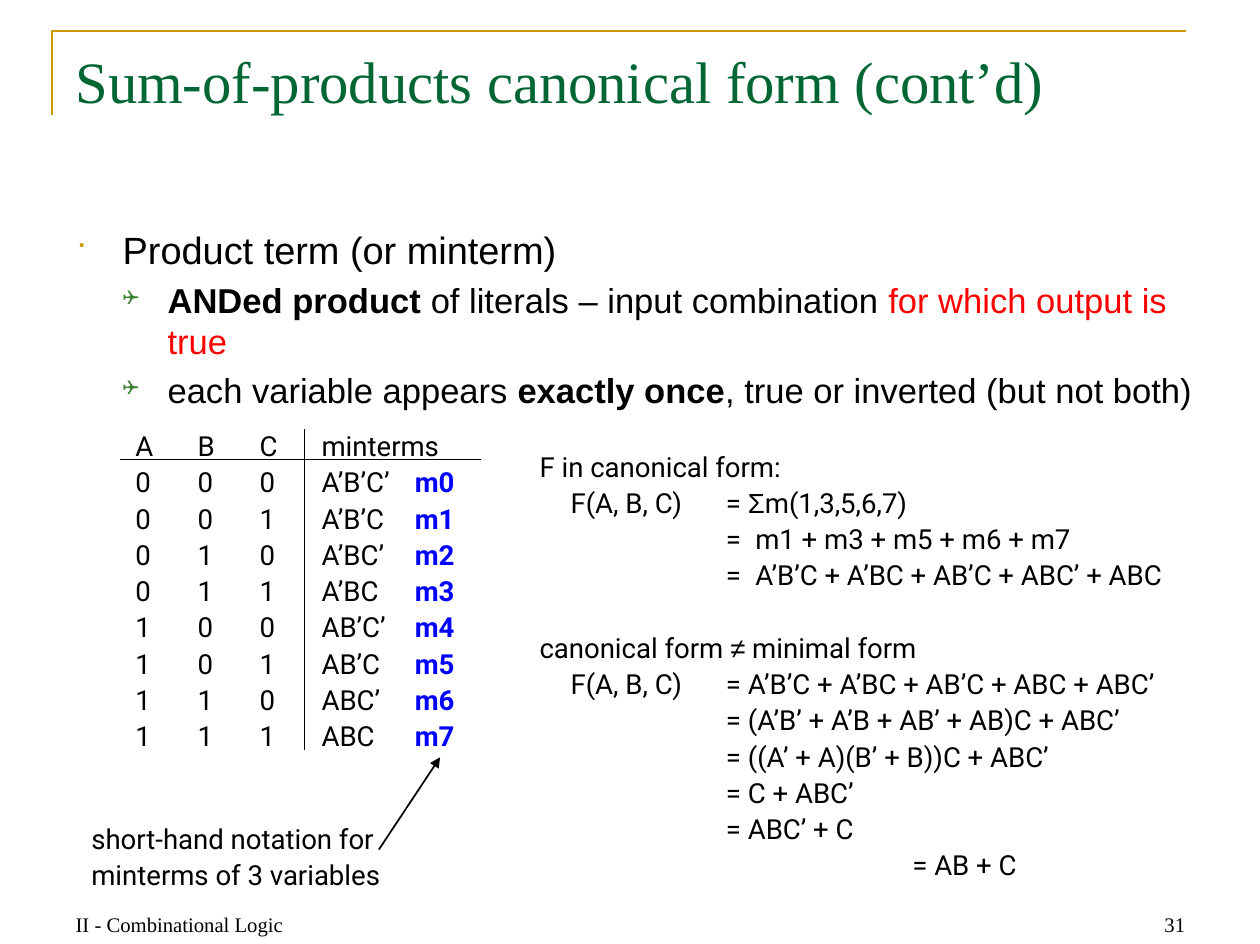
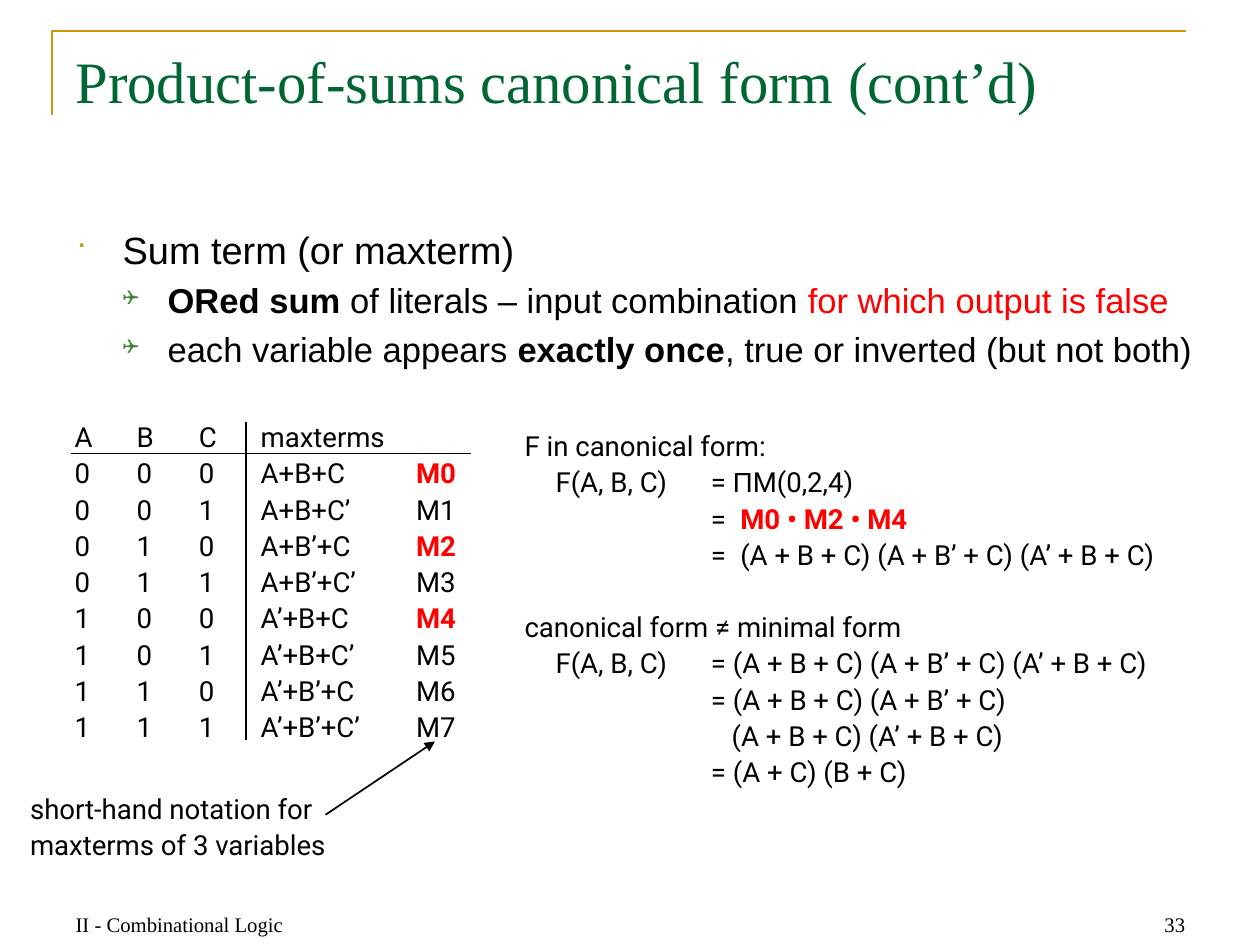
from itertools import product

from lxml import etree
from pptx import Presentation
from pptx.dml.color import RGBColor
from pptx.enum.shapes import MSO_CONNECTOR
from pptx.enum.text import MSO_ANCHOR, PP_ALIGN
from pptx.oxml.ns import qn
from pptx.util import Pt

LEFT, RIGHT = PP_ALIGN.LEFT, PP_ALIGN.RIGHT
TOP, BOTTOM = MSO_ANCHOR.TOP, MSO_ANCHOR.BOTTOM
STRAIGHT = MSO_CONNECTOR.STRAIGHT

BLACK = RGBColor(0x00, 0x00, 0x00)
GREEN = RGBColor(0x00, 0x66, 0x33)
GOLD = RGBColor(0xCC, 0x99, 0x00)
LEAF = RGBColor(0x3B, 0x81, 0x2F)
RED = RGBColor(0xFF, 0x00, 0x00)
BLUE = RGBColor(0x00, 0x00, 0xFF)

SERIF, SANS, ROBOTO = "Times New Roman", "Arial", "Roboto"
MARKS = "Wingdings"
WIDTH, HEIGHT = 730, 547.2
PITCH = 21
INSET = (1.44, 2.16)
NARROW = {"font": ROBOTO, "size": 16, "pitch": PITCH, "inset": INSET}

# Tab stops of the formula rows
STOPS = (18, 108)
WIDE = (18, 108, 125)
SHIFT = (18, 120)
FAR = (18, 216)

# Indent, hang, bullet, bullet colour, bullet percent, text size
LEVELS = (
    (27, 27, "■", GOLD, 65, 22),
    (53, 26, "❑", LEAF, 60, 20),
)
BOLD = {"bold": True}
HOT = {"color": RED}
GREEK = {"font": SANS}


def sub(parent, tag, **attrs):
    return etree.SubElement(parent, qn(tag), {k: str(v) for k, v in attrs.items()})


def write(para, runs, font=SANS, size=16, color=BLACK, bold=False,
          align=LEFT, pitch=None, before=0):
    """Fill a paragraph with strings or (string, changed format) pairs."""
    para.alignment = align
    para.space_before = Pt(before)
    if pitch:
        para.line_spacing = Pt(pitch)
    for item in [runs] if isinstance(runs, str) else runs:
        words, change = (item, {}) if isinstance(item, str) else item
        look = {"font": font, "size": size, "color": color, "bold": bold, **change}
        run = para.add_run()
        run.text = words
        run.font.name = look["font"]
        run.font.size = Pt(look["size"])
        run.font.bold = look["bold"]
        run.font.color.rgb = look["color"]


def frame(slide, box, inset=(7.2, 3.6), anchor=TOP):
    body = slide.shapes.add_textbox(*map(Pt, box)).text_frame
    body.word_wrap = True
    body.vertical_anchor = anchor
    body.margin_left = body.margin_right = Pt(inset[0])
    body.margin_top = body.margin_bottom = Pt(inset[1])
    return body


def paras(body, count):
    """Yield the first paragraph of a text frame, then new ones."""
    yield body.paragraphs[0]
    for _ in range(count - 1):
        yield body.add_paragraph()


def text(slide, box, lines, inset=(7.2, 3.6), anchor=TOP, **look):
    body = frame(slide, box, inset, anchor)
    for para, runs in zip(paras(body, len(lines)), lines):
        write(para, runs, **look)


def base(deck, title, page):
    """Add a slide with the corner rule, title and footers."""
    slide = deck.slides.add_slide(deck.slide_layouts[6])
    pen = slide.shapes.build_freeform(Pt(30.2), Pt(66.8), scale=1.0)
    pen.add_line_segments([(Pt(30.2), Pt(18)), (Pt(687.2), Pt(18))], close=False)
    rule = pen.convert_to_shape()
    rule.shadow.inherit = False
    rule.fill.background()
    rule.line.color.rgb = GOLD
    rule.line.width = Pt(1.5)
    text(slide, (36.7, 22.5, 657, 90), [title], font=SERIF, size=34, color=GREEN)
    for x, words, align in ((36.7, "II - Combinational Logic", LEFT),
                            (523.2, page, RIGHT)):
        text(slide, (x, 510.2, 170.5, 36.5), [words], anchor=BOTTOM,
             font=SERIF, size=12, align=align)
    return slide


def bullets(slide, rows):
    """Write rows of (level, runs)."""
    body = frame(slide, (37, 127.5, 677, 135))
    for n, (para, (level, runs)) in enumerate(zip(paras(body, len(rows)), rows)):
        left, hang, mark, color, percent, size = LEVELS[level]
        write(para, runs, size=size, before=4.2 if n else 0)
        props = para._p.get_or_add_pPr()
        props.set("marL", str(Pt(left)))
        props.set("indent", str(-Pt(hang)))
        sub(sub(props, "a:buClr"), "a:srgbClr", val=color)
        sub(props, "a:buSzPct", val=percent * 1000)
        sub(props, "a:buFont", typeface=MARKS)
        sub(props, "a:buChar", char=mark)


def sums(slide, box, rows):
    """Write formula rows of (tab stops, runs, space before)."""
    body = frame(slide, box, INSET)
    for para, (stops, runs, gap) in zip(paras(body, len(rows)), rows):
        write(para, runs, font=ROBOTO, pitch=PITCH, before=gap)
        tabs = sub(para._p.get_or_add_pPr(), "a:tabLst")
        for stop in stops:
            sub(tabs, "a:tab", pos=Pt(stop), algn="l")


def clear(cell):
    """Take the borders and fill off a cell."""
    props = cell._tc.get_or_add_tcPr()
    for side in "LRTB":
        sub(sub(props, f"a:ln{side}"), "a:noFill")
    cell.fill.background()


def truth(slide, at, widths, pads, rows):
    """Draw a truth table; pads are the left margins before and after the rule."""
    shape = slide.shapes.add_table(len(rows), len(widths), Pt(at[0]), Pt(at[1]),
                                   Pt(sum(widths)), Pt(PITCH * len(rows)))
    table = shape.table
    table.first_row = table.horz_banding = False
    for col, width in zip(table.columns, widths):
        col.width = Pt(width)
    for r, row in enumerate(rows):
        table.rows[r].height = Pt(PITCH)
        for c, runs in enumerate(row):
            cell = table.cell(r, c)
            cell.margin_left = Pt(pads[c > 2])
            cell.margin_right = cell.margin_top = cell.margin_bottom = 0
            write(cell.text_frame.paragraphs[0], runs, font=ROBOTO, pitch=PITCH)
            clear(cell)
    table.cell(0, 3).merge(table.cell(0, 4))


def terms(head, sign, join, prime, hot, color):
    """List the table rows; a letter is primed where its bit equals prime."""
    rows = [["A", "B", "C", head, []]]
    for n, bits in enumerate(product((0, 1), repeat=3)):
        term = join.join(v + "’" * (b == prime) for v, b in zip("ABC", bits))
        look = {"color": color, "bold": True} if n in hot else {}
        rows.append([*map(str, bits), term, [(f"{sign}{n}", look)]])
    return rows


def rule(slide, start, end, head=False):
    """Draw a thin black line, with an arrowhead at its end if asked."""
    line = slide.shapes.add_connector(STRAIGHT, *map(Pt, start + end))
    line.line.color.rgb = BLACK
    line.line.width = Pt(1)
    if head:
        sub(line.line._get_or_add_ln(), "a:tailEnd", type="triangle")
    sub(line._element.spPr, "a:effectLst")


def note(slide, at, kind):
    text(slide, (*at, 207, 52),
         ["short-hand notation for", f"{kind} of 3 variables"], **NARROW)


def once():
    return (1, ["each variable appears ", ("exactly once", BOLD),
                ", true or inverted (but not both)"])


def minterm(deck):
    slide = base(deck, "Sum-of-products canonical form (cont’d)", "31")
    bullets(slide, [
        (0, "Product term (or minterm)"),
        (1, [("ANDed product", BOLD), " of literals – input combination ",
             ("for which output is true", HOT)]),
        once(),
    ])
    truth(slide, (70, 247.4), (36, 36, 34.4, 54, 48.2), (8.5, 10),
          terms("minterms", "m", "", 0, range(8), BLUE))
    rule(slide, (69.8, 266.4), (278.6, 266.4))
    rule(slide, (176.4, 248.4), (176.4, 434.9))
    note(slide, (51.5, 472.5), "minterms")
    rule(slide, (219.5, 492.5), (255, 439), head=True)
    sums(slide, (311.2, 256.7, 393, 262), [
        (STOPS, "F in canonical form:", 0),
        (STOPS, ["\tF(A, B, C)\t= ", ("Σ", GREEK), "m(1,3,5,6,7)"], 0),
        (WIDE, "\t\t=\tm1 + m3 + m5 + m6 + m7", 0),
        (WIDE, "\t\t=\tA’B’C + A’BC + AB’C + ABC’ + ABC", 0),
        (STOPS, ["canonical form ", ("≠", GREEK), " minimal form"], PITCH),
        (STOPS, "\tF(A, B, C)\t= A’B’C + A’BC + AB’C + ABC + ABC’", 0),
        (STOPS, "\t\t= (A’B’ + A’B + AB’ + AB)C + ABC’", 0),
        (STOPS, "\t\t= ((A’ + A)(B’ + B))C + ABC’", 0),
        (STOPS, "\t\t= C + ABC’", 0),
        (STOPS, "\t\t= ABC’ + C", 0),
        (FAR, "\t\t= AB + C", 0),
    ])


def maxterm(deck):
    slide = base(deck, "Product-of-sums canonical form (cont’d)", "33")
    bullets(slide, [
        (0, "Sum term (or maxterm)"),
        (1, [("ORed sum", BOLD), " of literals – input combination ",
             ("for which output is false", HOT)]),
        once(),
    ])
    truth(slide, (41, 242.2), (36, 36, 29.6, 90, 40.4), (2.2, 8.5),
          terms("maxterms", "M", "+", 1, (0, 2, 4), RED))
    rule(slide, (41, 262.8), (272.9, 262.8))
    rule(slide, (142.6, 244.8), (142.6, 429.1))
    note(slide, (16, 455), "maxterms")
    rule(slide, (188.6, 472.3), (252, 429.8), head=True)
    sums(slide, (302.5, 244.7, 405, 220), [
        (STOPS, "F in canonical form:", 0),
        (STOPS, ["\tF(A, B, C)\t= ", ("Π", GREEK), "M(0,2,4)"], 0),
        (WIDE, ["\t\t=\t", ("M0 • M2 • M4", {**BOLD, **HOT})], 0),
        (WIDE, "\t\t=\t(A + B + C) (A + B’ + C) (A’ + B + C)", 0),
        (STOPS, "canonical form ≠ minimal form", PITCH),
        (STOPS, "\tF(A, B, C)\t= (A + B + C) (A + B’ + C) (A’ + B + C)", 0),
        (STOPS, "\t\t= (A + B + C) (A + B’ + C)", 0),
        (SHIFT, "\t\t(A + B + C) (A’ + B + C)", 0),
        (STOPS, "\t\t= (A + C) (B + C)", 0),
    ])


def main():
    deck = Presentation()
    deck.slide_width, deck.slide_height = Pt(WIDTH), Pt(HEIGHT)
    minterm(deck)
    maxterm(deck)
    deck.save("out.pptx")


if __name__ == "__main__":
    main()
